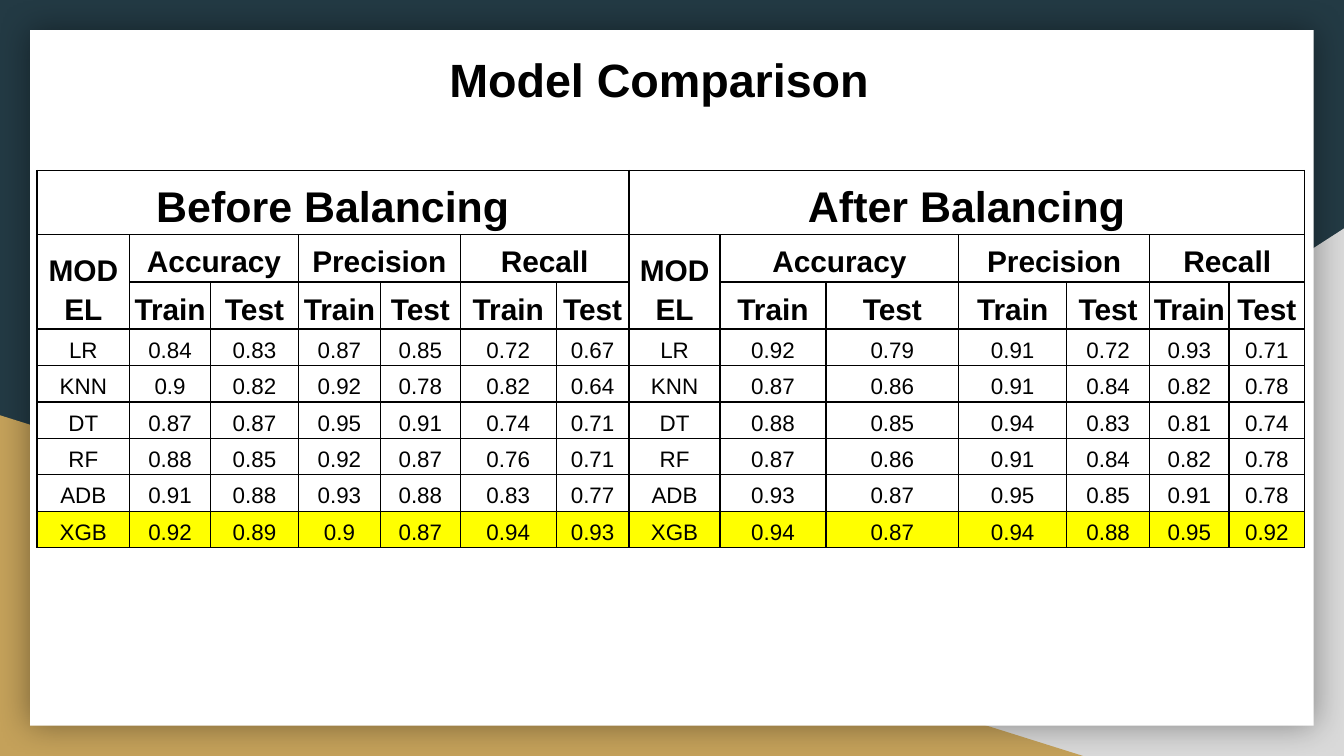
from lxml.etree import SubElement
from pptx import Presentation
from pptx.dml.color import RGBColor
from pptx.enum.shapes import MSO_SHAPE as Shape
from pptx.enum.text import MSO_ANCHOR as Anchor, MSO_AUTO_SIZE as AutoSize, PP_ALIGN as Align
from pptx.oxml.ns import qn
from pptx.util import Cm, Pt

COLORS = {
    "navy": "233A44",
    "grey": "D9D9D9",
    "gold": "C4A15A",
    "white": "FFFFFF",
    "black": "000000",
    "highlight": "FFFF00",
}
PAGE_WIDTH, PAGE_HEIGHT = 25.4, 14.29

COLUMN_WIDTHS = [1.75, 1.53, 1.66, 1.55, 1.51, 1.81, 1.38,
                 1.72, 2.0, 2.51, 2.04, 1.57, 1.5, 1.43]
HEADER_HEIGHTS = [1.21, 0.89, 0.89]
BODY_HEIGHT = 0.69
PERIODS = ["Before Balancing", "After Balancing"]
METRICS = ["Accuracy", "Precision", "Recall"]
SPLITS = ["Train", "Test"]
BEST_MODEL = "XGB"
# Model: scores before balancing, scores after balancing
SCORES = {
    "LR": ("0.84 0.83 0.87 0.85 0.72 0.67", "0.92 0.79 0.91 0.72 0.93 0.71"),
    "KNN": ("0.9 0.82 0.92 0.78 0.82 0.64", "0.87 0.86 0.91 0.84 0.82 0.78"),
    "DT": ("0.87 0.87 0.95 0.91 0.74 0.71", "0.88 0.85 0.94 0.83 0.81 0.74"),
    "RF": ("0.88 0.85 0.92 0.87 0.76 0.71", "0.87 0.86 0.91 0.84 0.82 0.78"),
    "ADB": ("0.91 0.88 0.93 0.88 0.83 0.77", "0.93 0.87 0.95 0.85 0.91 0.78"),
    "XGB": ("0.92 0.89 0.9 0.87 0.94 0.93", "0.94 0.87 0.94 0.88 0.95 0.92"),
}


def color(name):
    return RGBColor.from_string(COLORS[name])


def write(frame, text, size=12, bold=False, spacing=1.15):
    para = frame.paragraphs[0]
    para.alignment = Align.CENTER
    para.line_spacing = spacing
    span = para.add_run()
    span.text = text
    span.font.name = "Arial"
    span.font.size = Pt(size)
    span.font.bold = bold
    span.font.color.rgb = color("black")


def add_block(page, kind, fill, left, top, width, height):
    block = page.shapes.add_shape(kind, Cm(left), Cm(top), Cm(width), Cm(height))
    block.shadow.inherit = False
    block.fill.solid()
    block.fill.fore_color.rgb = color(fill)
    block.line.fill.background()
    return block


def add_soft_shadow(block):
    effects = block._element.spPr.find(qn("a:effectLst"))
    shadow = SubElement(effects, qn("a:outerShdw"), blurRad=str(Pt(18)), dist="0",
                        dir="0", algn="ctr", rotWithShape="0")
    tint = SubElement(shadow, qn("a:srgbClr"), val=COLORS["black"])
    SubElement(tint, qn("a:alpha"), val="40000")


def add_backdrop(page, width, height):
    page.background.fill.solid()
    page.background.fill.fore_color.rgb = color("navy")
    grey = add_block(page, Shape.RIGHT_TRIANGLE, "grey", 9.96, 4.32, width - 9.96, height - 4.32)
    grey._element.spPr.xfrm.set("flipH", "1")
    add_block(page, Shape.RIGHT_TRIANGLE, "gold", 0, 7.85, 20.47, height - 7.85)
    margin = 0.57
    panel = add_block(page, Shape.RECTANGLE, "white", margin, margin,
                      width - 2 * margin, height - 2 * margin)
    add_soft_shadow(panel)


def add_title(page, text, left, top, width, height):
    box = page.shapes.add_textbox(Cm(left), Cm(top), Cm(width), Cm(height))
    frame = box.text_frame
    frame.word_wrap = True
    frame.auto_size = AutoSize.SHAPE_TO_FIT_TEXT
    frame.margin_left = frame.margin_right = Cm(0.25)
    frame.margin_top = frame.margin_bottom = Cm(0.25)
    write(frame, text, size=25, bold=True, spacing=1.0)


def style_cell(cell, fill=None):
    """Set margins, anchor, black borders and fill."""
    cell.vertical_anchor = Anchor.BOTTOM
    cell.margin_left = cell.margin_right = Cm(0.07)
    cell.margin_top = cell.margin_bottom = Cm(0.05)
    properties = cell._tc.get_or_add_tcPr()
    for side in ("lnL", "lnR", "lnT", "lnB"):
        line = SubElement(properties, qn(f"a:{side}"), w=str(Pt(0.75)))
        solid = SubElement(line, qn("a:solidFill"))
        SubElement(solid, qn("a:srgbClr"), val=COLORS["black"])
    if fill:
        cell.fill.solid()
        cell.fill.fore_color.rgb = color(fill)
    else:
        cell.fill.background()


def fill_period(table, index, start):
    """Write one half of the table, beginning at column start."""
    def header(row, column, text, rows=1, columns=1, size=16):
        cell = table.cell(row, column)
        if rows * columns > 1:
            cell.merge(table.cell(row + rows - 1, column + columns - 1))
        write(cell.text_frame, text, size=size, bold=True)

    header(0, start, PERIODS[index], columns=7, size=23)
    header(1, start, "MODEL", rows=2)
    for i, metric in enumerate(METRICS):
        first = start + 1 + 2 * i
        header(1, first, metric, columns=2)
        for j, split in enumerate(SPLITS):
            header(2, first + j, split)
    for row, (model, scores) in enumerate(SCORES.items(), start=3):
        for column, text in enumerate([model, *scores[index].split()], start=start):
            write(table.cell(row, column).text_frame, text)


def add_score_table(page, left, top):
    heights = HEADER_HEIGHTS + [BODY_HEIGHT] * len(SCORES)
    table = page.shapes.add_table(len(heights), len(COLUMN_WIDTHS), Cm(left), Cm(top),
                                  Cm(sum(COLUMN_WIDTHS)), Cm(sum(heights))).table
    table.first_row = table.horz_banding = False
    for column, width in zip(table.columns, COLUMN_WIDTHS):
        column.width = Cm(width)
    best_row = len(HEADER_HEIGHTS) + list(SCORES).index(BEST_MODEL)
    for i, (row, height) in enumerate(zip(table.rows, heights)):
        row.height = Cm(height)
        for cell in row.cells:
            style_cell(cell, "highlight" if i == best_row else None)
    for index in range(len(PERIODS)):
        fill_period(table, index, start=7 * index)


def main():
    deck = Presentation()
    deck.slide_width, deck.slide_height = Cm(PAGE_WIDTH), Cm(PAGE_HEIGHT)
    page = deck.slides.add_slide(deck.slide_layouts[6])
    add_backdrop(page, PAGE_WIDTH, PAGE_HEIGHT)
    add_title(page, "Model Comparison", 3.63, 0.71, 17.65, 1.57)
    add_score_table(page, 0.7, 3.22)
    deck.save("out.pptx")


if __name__ == "__main__":
    main()
